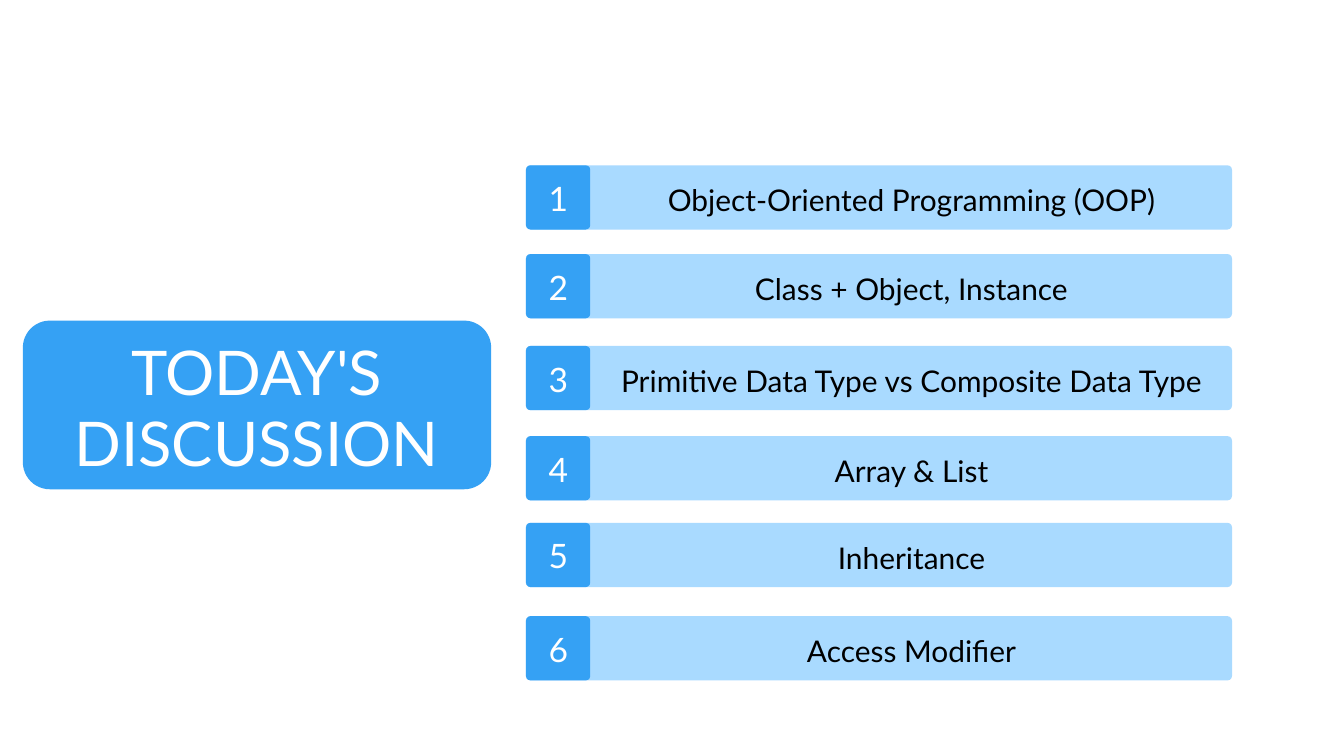
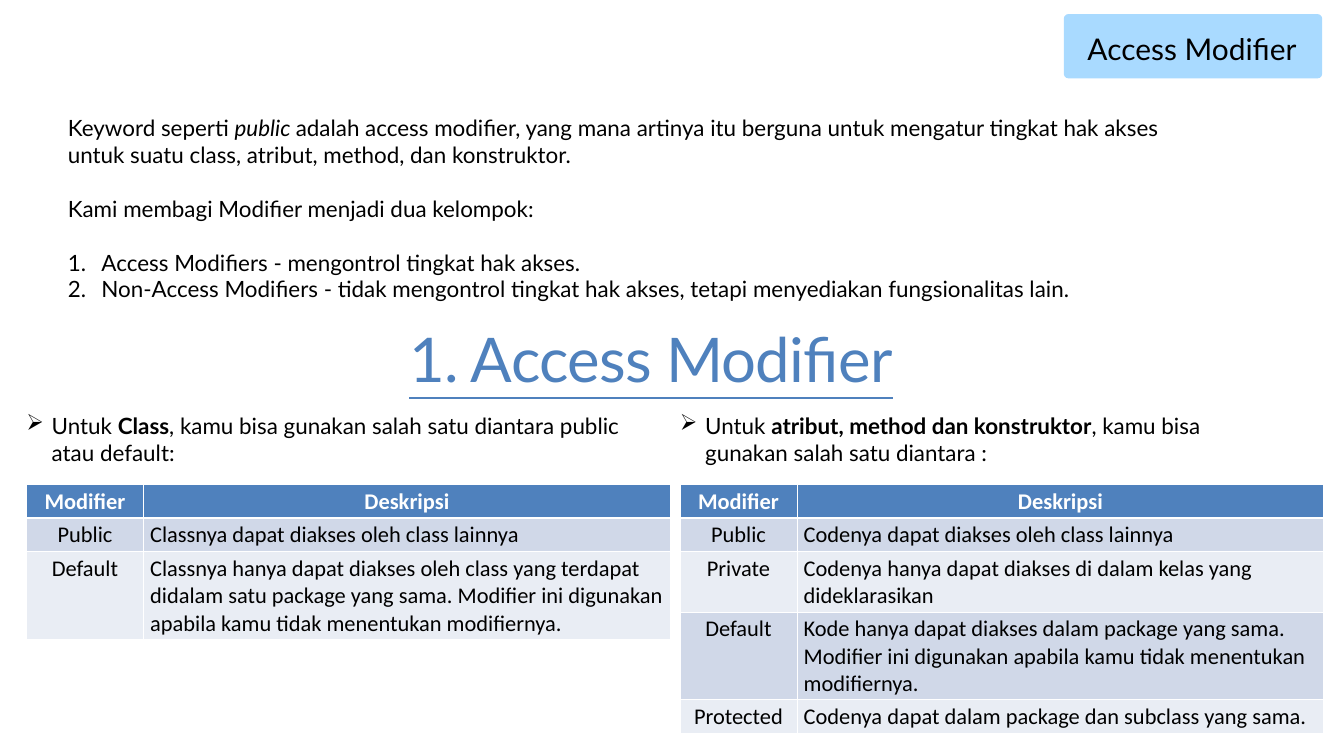
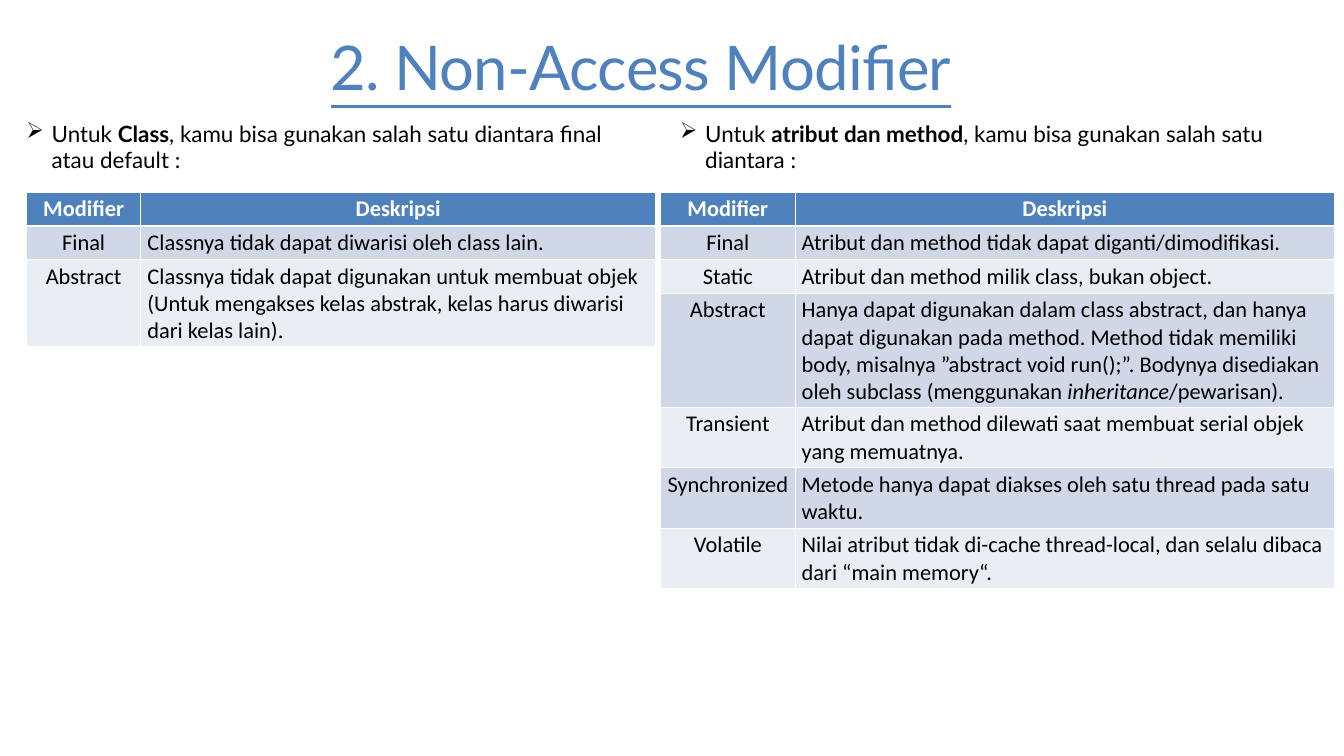
"""Builds three slides about object-oriented programming and its modifiers."""
from lxml import etree
from pptx import Presentation
from pptx.dml.color import RGBColor
from pptx.enum.shapes import MSO_SHAPE
from pptx.enum.text import MSO_AUTO_SIZE, PP_ALIGN
from pptx.oxml.ns import qn
from pptx.util import Pt

ROUNDED = MSO_SHAPE.ROUNDED_RECTANGLE
LEFT, CENTER = PP_ALIGN.LEFT, PP_ALIGN.CENTER
GROW = MSO_AUTO_SIZE.SHAPE_TO_FIT_TEXT

BLUE, PALE_BLUE = "35A1F4", "A9DAFF"
HEADING_BLUE, BAND_DARK, BAND_LIGHT = "4F81BD", "D0D8E8", "E9EDF4"
WHITE, BLACK = "FFFFFF", "000000"
TEXT_FONT, TABLE_FONT = "Lato", "Calibri"
BODY_SIZE, LINE = 24, 28.8
BAR_HEIGHT, ROW_HEIGHT = 68.8, 29.5
ARROW = ("a:buChar", "char", "➢")
NUMBER = ("a:buAutoNum", "type", "arabicPeriod")

TOPICS = [
    (177.1, "Object-Oriented Programming (OOP)"),
    (272.2, "Class + Object, Instance"),
    (370.7, "Primitive Data Type vs Composite Data Type"),
    (467.3, "Array & List"),
    (560.2, "Inheritance"),
    (660.2, "Access Modifier"),
]
ACCESS_CLASS = [
    ("Public", "Classnya dapat diakses oleh class lainnya"),
    ("Default", "Classnya hanya dapat diakses oleh class yang terdapat didalam satu "
                "package yang sama. Modifier ini digunakan apabila kamu tidak "
                "menentukan modifiernya."),
]
ACCESS_MEMBER = [
    ("Public", "Codenya dapat diakses oleh class lainnya"),
    ("Private", "Codenya hanya dapat diakses di dalam kelas yang dideklarasikan"),
    ("Default", "Kode hanya dapat diakses dalam package yang sama. Modifier ini "
                "digunakan apabila kamu tidak menentukan modifiernya."),
    ("Protected", "Codenya dapat dalam package dan subclass yang sama."),
]
NON_ACCESS_CLASS = [
    ("Final", "Classnya tidak dapat diwarisi oleh class lain."),
    ("Abstract", "Classnya tidak dapat digunakan untuk membuat objek (Untuk mengakses "
                 "kelas abstrak, kelas harus diwarisi dari kelas lain)."),
]
NON_ACCESS_MEMBER = [
    ("Final", "Atribut dan method tidak dapat diganti/dimodifikasi."),
    ("Static", "Atribut dan method milik class, bukan object."),
    ("Abstract", [
        ("Hanya dapat digunakan dalam class abstract, dan hanya dapat digunakan pada "
         "method. Method tidak memiliki body, misalnya ”abstract void run();”. Bodynya "
         "disediakan oleh subclass (menggunakan ", ""),
        ("inheritance", "i"),
        ("/pewarisan).", "")]),
    ("Transient", "Atribut dan method dilewati saat membuat serial objek yang memuatnya."),
    ("Synchronized", "Metode hanya dapat diakses oleh satu thread pada satu waktu."),
    ("Volatile", "Nilai atribut tidak di-cache thread-local, dan selalu dibaca dari "
                 "“main memory“."),
]


def rgb(color):
    """Turn a hex string into a colour."""
    return RGBColor.from_string(color)


def add_runs(p, content, size, color=BLACK, font=TEXT_FONT, bold=False):
    """Add a string, or (text, style) pairs with style b or i, and return the runs."""
    pairs = [(content, "")] if isinstance(content, str) else content
    runs = []
    for text, style in pairs:
        r = p.add_run()
        r.text = text
        r.font.size, r.font.name = Pt(size), font
        r.font.color.rgb = rgb(color)
        r.font.bold = bold or style == "b"
        r.font.italic = style == "i"
        runs.append(r)
    return runs


def add_box(s, x, y, w, h):
    """Add an empty text box without margins and return its text frame."""
    tf = s.shapes.add_textbox(Pt(x), Pt(y), Pt(w), Pt(h)).text_frame
    tf.word_wrap, tf.auto_size = True, GROW
    tf.margin_left = tf.margin_top = tf.margin_right = tf.margin_bottom = 0
    return tf


def add_paragraph(tf, first, align=LEFT, spacing=None, before=0):
    """Return the first paragraph or a new one, with its layout set."""
    p = tf.paragraphs[0] if first else tf.add_paragraph()
    p.alignment = align
    p.space_before = Pt(before)
    if spacing:
        p.line_spacing = Pt(spacing)
    return p


def set_bullet(p, bullet, indent):
    """Give a paragraph a bullet with a hanging indent."""
    tag, key, value = bullet
    pPr = p._p.get_or_add_pPr()
    pPr.set("marL", str(Pt(indent)))
    pPr.set("indent", str(-Pt(indent)))
    etree.SubElement(pPr, qn(tag)).set(key, value)


def add_label(s, x, y, w, h, lines, size, spacing, color=BLACK):
    """Add centred lines of text."""
    tf = add_box(s, x, y, w, h)
    for i, line in enumerate(lines):
        add_runs(add_paragraph(tf, i == 0, CENTER, spacing), line, size, color)


def add_bar(s, x, y, w, h, color, rounding=0.07):
    """Add a plain rounded rectangle."""
    sp = s.shapes.add_shape(ROUNDED, Pt(x), Pt(y), Pt(w), Pt(h))
    sp.adjustments[0] = rounding
    sp.shadow.inherit = False
    sp.fill.solid()
    sp.fill.fore_color.rgb = rgb(color)
    sp.line.fill.background()


def add_topic(s, number, y, topic):
    """Add one numbered agenda row."""
    add_bar(s, 563.3, y, 756.7, BAR_HEIGHT, PALE_BLUE)
    add_bar(s, 563.6, y, BAR_HEIGHT, BAR_HEIGHT, BLUE)
    add_label(s, 641.5, y + 11.5, 670.3, 43.2, [topic], 32, 44.8)
    add_label(s, 581.5, y + 17, 33.8, 40.3, [str(number)], 36, 39.6, WHITE)


def add_heading(s, x, y, w, text):
    """Add a large underlined heading."""
    p = add_paragraph(add_box(s, x, y, w, 82), True, spacing=83)
    for r in add_runs(p, text, 66, HEADING_BLUE):
        r.font.underline = True
        r._r.get_or_add_rPr().set("spc", "-80")


def add_lead(s, x, y, subject, ending):
    """Add the arrow-bulleted sentence above a table."""
    p = add_paragraph(add_box(s, x, y, 638.6, 58.3), True)
    set_bullet(p, ARROW, 27)
    add_runs(p, [("Untuk ", ""), (subject, "b"),
                 (", kamu bisa gunakan salah satu diantara " + ending, "")], BODY_SIZE)


def set_borders(cell, top, bottom):
    """Draw white cell borders, with the top and bottom widths given."""
    tcPr = cell._tc.get_or_add_tcPr()
    for side, width in (("L", 1), ("R", 1), ("T", top), ("B", bottom)):
        ln = etree.SubElement(tcPr, qn("a:ln" + side), w=str(Pt(width)))
        fill = etree.SubElement(ln, qn("a:solidFill"))
        etree.SubElement(fill, qn("a:srgbClr"), val=WHITE)


def add_modifier_table(s, x, y, widths, height, modifiers):
    """Add a banded table of modifiers and their descriptions."""
    rows = [("Modifier", "Deskripsi")] + modifiers
    frame = s.shapes.add_table(len(rows), 2, Pt(x), Pt(y), Pt(sum(widths)), Pt(height))
    table = frame.table
    for column, width in zip(table.columns, widths):
        column.width = Pt(width)
    for i, row in enumerate(rows):
        table.rows[i].height = Pt(ROW_HEIGHT)
        header = i == 0
        band = HEADING_BLUE if header else (BAND_LIGHT, BAND_DARK)[i % 2]
        for j, content in enumerate(row):
            cell = table.cell(i, j)
            set_borders(cell, 3 if i == 1 else 1, 3 if header else 1)
            cell.fill.solid()
            cell.fill.fore_color.rgb = rgb(band)
            p = cell.text_frame.paragraphs[0]
            p.alignment = CENTER if header or j == 0 else LEFT
            add_runs(p, content, BODY_SIZE, WHITE if header else BLACK, TABLE_FONT, header)
    frame.height = Pt(height)


def build_agenda(s):
    """Fill the agenda slide."""
    for number, (y, topic) in enumerate(TOPICS, 1):
        add_topic(s, number, y, topic)
    add_bar(s, 24.5, 343.5, 501.8, 180.7, BLUE, 0.16)
    add_label(s, 68.4, 361.5, 413.3, 153.4, ["TODAY'S", "DISCUSSION"], 66, 75.6, WHITE)


def build_access(s):
    """Fill the access modifier slide."""
    add_bar(s, 1139.8, 15.1, 276.8, BAR_HEIGHT, PALE_BLUE)
    add_label(s, 1146.2, 26.6, 262, 43.2, ["Access Modifier"], 32, 44.8)
    intro = [
        ([("Keyword seperti ", ""), ("public ", "i"),
          ("adalah access modifier, yang mana artinya itu berguna untuk mengatur tingkat "
           "hak akses untuk suatu class, atribut, method, dan konstruktor.", "")], 0, None),
        ("Kami membagi Modifier menjadi dua kelompok:", LINE, None),
        ("Access Modifiers - mengontrol tingkat hak akses.", LINE, NUMBER),
        ("Non-Access Modifiers - tidak mengontrol tingkat hak akses, tetapi menyediakan "
         "fungsionalitas lain.", 0, NUMBER),
    ]
    tf = add_box(s, 72.7, 122.4, 1188, 203.8)
    for i, (content, before, bullet) in enumerate(intro):
        p = add_paragraph(tf, i == 0, before=before)
        if bullet:
            set_bullet(p, bullet, 36)
        add_runs(p, content, BODY_SIZE)
    add_heading(s, 438.5, 339.8, 563.8, "1. Access Modifier")
    add_modifier_table(s, 28.4, 519.1, (125.3, 564.5), 165.6, ACCESS_CLASS)
    add_lead(s, 28.4, 441.4, "Class", "public atau default:")
    add_modifier_table(s, 728.6, 519.1, (125.3, 564.5), 266.4, ACCESS_MEMBER)
    add_lead(s, 728.6, 441.4, "atribut, method dan konstruktor", ":")


def build_non_access(s):
    """Fill the non-access modifier slide."""
    add_heading(s, 354.2, 27.4, 732.2, "2. Non-Access Modifier")
    add_modifier_table(s, 28.4, 205.9, (122.4, 551.5), 165.6, NON_ACCESS_CLASS)
    add_lead(s, 28.4, 128.2, "Class", "final atau default :")
    add_modifier_table(s, 707.8, 205.9, (144, 578.2), 424.8, NON_ACCESS_MEMBER)
    add_lead(s, 728.6, 128.2, "atribut dan method", ":")


def main():
    """Build and save the presentation."""
    prs = Presentation()
    prs.slide_width, prs.slide_height = Pt(1440), Pt(810)
    for build in (build_agenda, build_access, build_non_access):
        build(prs.slides.add_slide(prs.slide_layouts[6]))
    prs.save("out.pptx")


if __name__ == "__main__":
    main()
